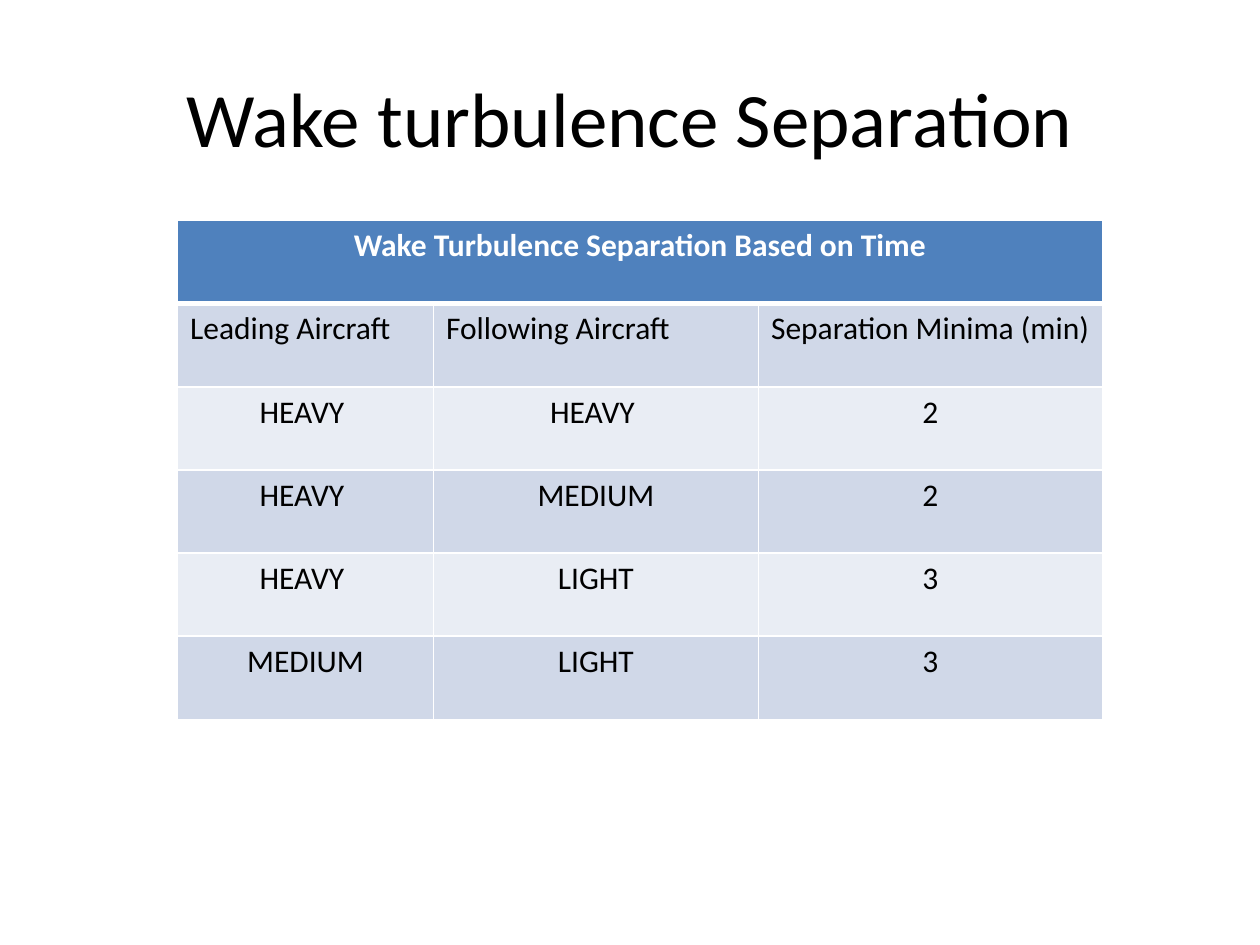
from dataclasses import dataclass

from lxml.etree import SubElement
from pptx import Presentation
from pptx.dml.color import RGBColor
from pptx.enum.text import MSO_ANCHOR, PP_ALIGN
from pptx.oxml.ns import qn
from pptx.util import Inches, Pt

COLORS = {
    "text": "000000",
    "white": "FFFFFF",
    "header": "4F81BD",
    "dark_band": "D0D8E8",
    "light_band": "E9EDF4",
}
COLUMN_WIDTHS = (2.03, 2.58, 2.73)
ROW_HEIGHT = 0.66
THIN, THICK = 1, 3


@dataclass(frozen=True)
class TableRow:
    texts: tuple[str, ...]
    align: PP_ALIGN = PP_ALIGN.CENTER


ROWS = (
    TableRow(("Wake Turbulence Separation Based on Time", "", "")),
    TableRow(("Leading Aircraft", "Following Aircraft", "Separation Minima (min)"), PP_ALIGN.LEFT),
    TableRow(("HEAVY ", "HEAVY ", "2")),
    TableRow(("HEAVY ", "MEDIUM", "2")),
    TableRow(("HEAVY ", "LIGHT", "3")),
    TableRow(("MEDIUM", "LIGHT", "3")),
)


def write_text(frame, text: str, *, size: float = 18, color: str = "text",
               bold: bool = False, align: PP_ALIGN = PP_ALIGN.CENTER) -> None:
    para = frame.paragraphs[0]
    para.alignment = align
    span = para.add_run()
    span.text = text
    span.font.name = "Calibri"
    span.font.size = Pt(size)
    span.font.bold = bold
    span.font.color.rgb = RGBColor.from_string(COLORS[color])


def set_borders(cell, *, top: float, bottom: float) -> None:
    properties = cell._tc.get_or_add_tcPr()
    widths = {"lnL": THIN, "lnR": THIN, "lnT": top, "lnB": bottom}
    for index, (side, width) in enumerate(widths.items()):
        line = SubElement(properties, qn(f"a:{side}"), w=str(Pt(width)))
        fill = SubElement(line, qn("a:solidFill"))
        SubElement(fill, qn("a:srgbClr"), val=COLORS["white"])
        properties.insert(index, line)


def add_title(page, text: str) -> None:
    box = page.shapes.add_textbox(Inches(0.5), Inches(0.3), Inches(9), Inches(1.25))
    box.text_frame.word_wrap = True
    box.text_frame.vertical_anchor = MSO_ANCHOR.MIDDLE
    write_text(box.text_frame, text, size=44)


def add_separation_table(page, rows: tuple[TableRow, ...]) -> None:
    table = page.shapes.add_table(
        len(rows), len(COLUMN_WIDTHS), Inches(1.41), Inches(1.75),
        Inches(sum(COLUMN_WIDTHS)), Inches(ROW_HEIGHT * len(rows)),
    ).table
    for column, width in zip(table.columns, COLUMN_WIDTHS):
        column.width = Inches(width)
    for number, row in enumerate(rows):
        table.rows[number].height = Inches(ROW_HEIGHT)
        is_header = number == 0
        band = "header" if is_header else "dark_band" if number % 2 else "light_band"
        for position, text in enumerate(row.texts):
            cell = table.cell(number, position)
            cell.fill.solid()
            cell.fill.fore_color.rgb = RGBColor.from_string(COLORS[band])
            set_borders(cell, top=THICK if number == 1 else THIN,
                        bottom=THICK if is_header else THIN)
            if text:
                write_text(cell.text_frame, text, align=row.align, bold=is_header,
                           color="white" if is_header else "text")
    table.cell(0, 0).merge(table.cell(0, len(COLUMN_WIDTHS) - 1))


def main() -> None:
    deck = Presentation()
    deck.slide_width, deck.slide_height = Inches(10), Inches(7.5)
    page = deck.slides.add_slide(deck.slide_layouts[6])
    add_title(page, "Wake turbulence Separation")
    add_separation_table(page, ROWS)
    deck.save("out.pptx")


if __name__ == "__main__":
    main()
